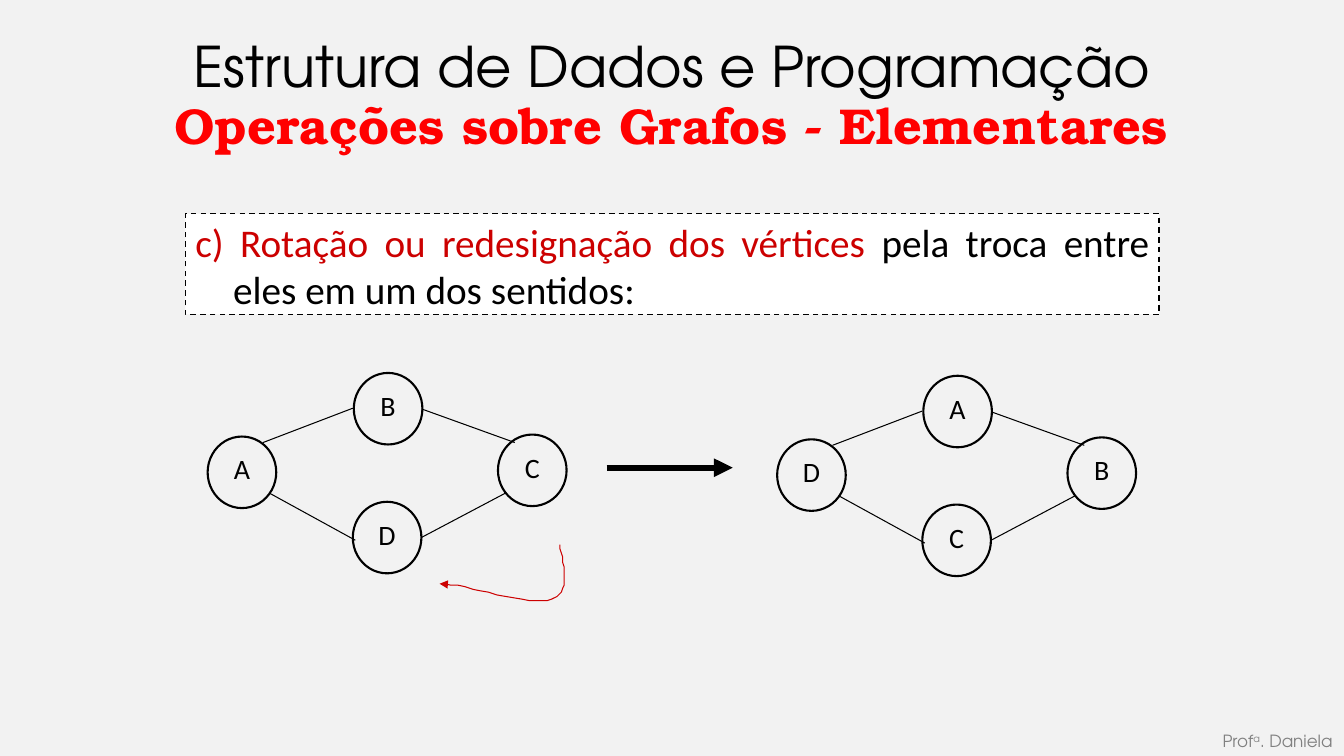
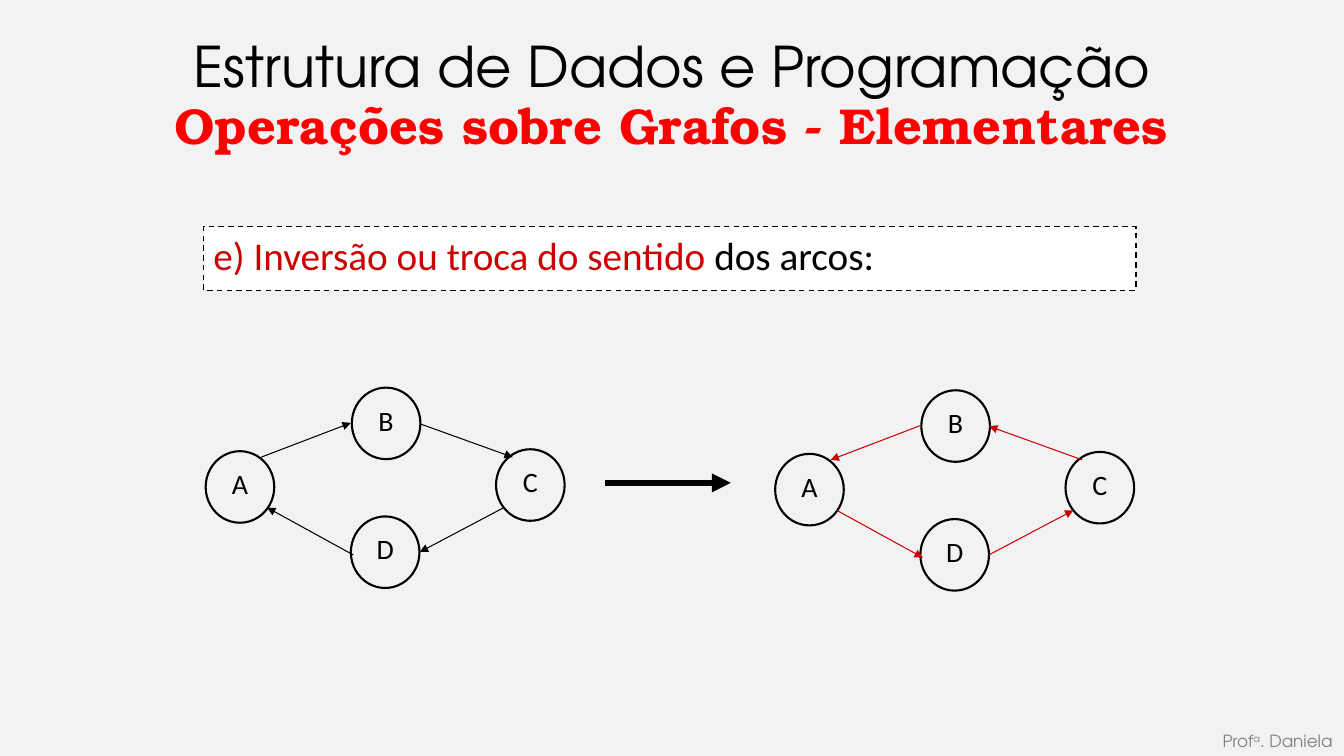
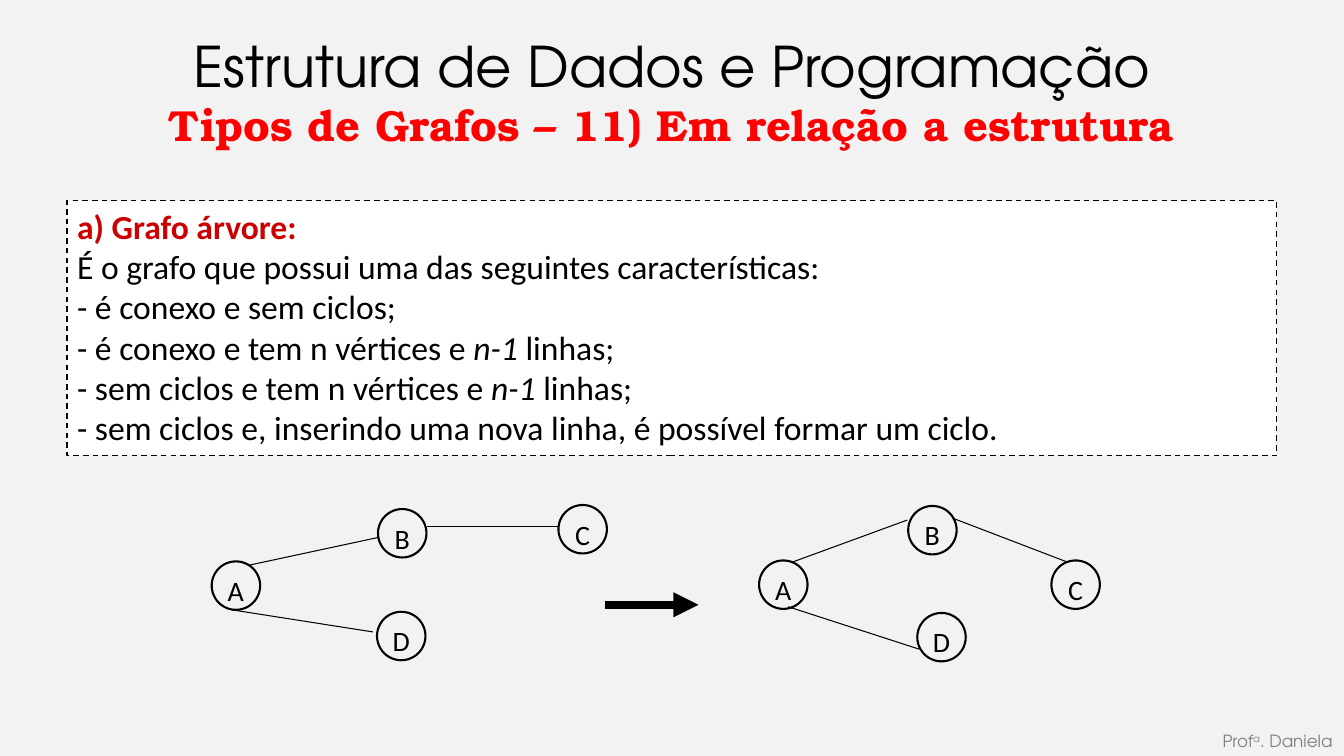
import pptx
import pptx.dml.color
import pptx.enum.dml
import pptx.enum.shapes
import pptx.enum.text
import pptx.oxml
import pptx.oxml.ns
import pptx.util

Pt = pptx.util.Pt
ALIGN = pptx.enum.text.PP_ALIGN
ANCHOR = pptx.enum.text.MSO_ANCHOR
SHAPE = pptx.enum.shapes.MSO_SHAPE

# Shared style
BLACK, WHITE, RED, TITLE_RED = "000000", "FFFFFF", "CC0000", "FF0000"
GREY, BACKGROUND = "808080", "F2F2F2"
BODY, HEADING, SUBHEADING = "Calibri", "TeX Gyre Adventor", "TeX Gyre Bonum"

# Four-vertex cycle, measured from its top-left corner
VERTEX_SIZE = (49, 51.1)
VERTICES = [(0, 45.4), (104.4, 0), (207.4, 44), (103.7, 92)]
CYCLE = [
    (39.6, 49.7, 103.7, 25.2),
    (152.8, 25.7, 219.4, 49.7),
    (213, 85.7, 153, 117.4),
    (105.5, 119.5, 43.9, 85.7),
]


def rgb(value):
    return pptx.dml.color.RGBColor.from_string(value)


def xml(tag, **attrs):
    el = pptx.oxml.parse_xml(f"<a:{tag} {pptx.oxml.ns.nsdecls('a')}/>")
    for name, value in attrs.items():
        el.set(name, value)
    return el


def bezier(p0, p1, p2, p3, steps=16):
    """Points after p0 along a cubic curve."""
    for i in range(1, steps + 1):
        t = i / steps
        u = 1 - t
        yield tuple(u**3 * a + 3 * u * u * t * b + 3 * u * t * t * c + t**3 * d
                    for a, b, c, d in zip(p0, p1, p2, p3))


class Deck:
    def __init__(self):
        self.prs = pptx.Presentation()
        self.prs.slide_width, self.prs.slide_height = Pt(960), Pt(540)
        self.s = None

    def slide(self, subtitle, size):
        self.s = self.prs.slides.add_slide(self.prs.slide_layouts[6])
        fill = self.s.background.fill
        fill.solid()
        fill.fore_color.rgb = rgb(BACKGROUND)
        self.label(48, 1.4, 864, 90, [[("Estrutura de Dados e Programação", {})]],
                   ALIGN.CENTER, ANCHOR.MIDDLE, name=HEADING, size=40)
        self.label(18, 66.2, 923, 45.4, [[(subtitle, {})]], ALIGN.CENTER,
                   ANCHOR.MIDDLE, name=SUBHEADING, size=size, color=TITLE_RED, bold=True)
        self.label(702, 518.4, 257, 21.6,
                   [[("Prof", {}), ("a", {"baseline": 30}), (". Daniela", {})]],
                   ALIGN.RIGHT, name=HEADING, size=12, color=GREY)

    def text(self, sp, paragraphs, align, anchor=ANCHOR.TOP, wrap=True, hang=0, **base):
        """Each paragraph is a list of (text, format) runs."""
        tf = sp.text_frame
        tf.word_wrap, tf.vertical_anchor = wrap, anchor
        for i, runs in enumerate(paragraphs):
            p = tf.paragraphs[0] if i == 0 else tf.add_paragraph()
            p.alignment = align
            if hang:
                pPr = p._p.get_or_add_pPr()
                pPr.set("marL", str(Pt(hang)))
                pPr.set("indent", str(-Pt(hang)))
            for content, extra in runs:
                r = p.add_run()
                r.text = content
                for key, value in {"color": BLACK, **base, **extra}.items():
                    if key == "color":
                        r.font.color.rgb = rgb(value)
                    elif key == "size":
                        r.font.size = Pt(value)
                    elif key == "baseline":
                        r._r.get_or_add_rPr().set("baseline", str(value * 1000))
                    else:
                        setattr(r.font, key, value)

    def label(self, x, y, w, h, paragraphs, align, anchor=ANCHOR.TOP, **base):
        sp = self.s.shapes.add_textbox(Pt(x), Pt(y), Pt(w), Pt(h))
        self.text(sp, paragraphs, align, anchor, **base)

    def stroke(self, line, color, width, arrow=False):
        line.color.rgb = rgb(color)
        line.width = Pt(width)
        if arrow:
            line._get_or_add_ln().append(xml("tailEnd", type="triangle"))

    def shape(self, kind, x, y, w, h, width, fill=None):
        sp = self.s.shapes.add_shape(kind, Pt(x), Pt(y), Pt(w), Pt(h))
        sp.shadow.inherit = False
        if fill:
            sp.fill.solid()
            sp.fill.fore_color.rgb = rgb(fill)
        else:
            sp.fill.background()
        self.stroke(sp.line, BLACK, width)
        return sp

    def box(self, x, y, w, h, paragraphs, size, align=ALIGN.LEFT, hang=0):
        sp = self.shape(SHAPE.RECTANGLE, x, y, w, h, 1, WHITE)
        sp.line.dash_style = pptx.enum.dml.MSO_LINE.DASH
        self.text(sp, paragraphs, align, hang=hang, name=BODY, size=size)

    def vertex(self, name, x, y, w, h):
        sp = self.shape(SHAPE.OVAL, x, y, w, h, 1.5)
        self.text(sp, [[(name, {})]], ALIGN.CENTER, wrap=False, name=BODY, size=20)

    def line(self, x1, y1, x2, y2, color=BLACK, width=0.75, arrow=False):
        c = self.s.shapes.add_connector(pptx.enum.shapes.MSO_CONNECTOR.STRAIGHT,
                                        Pt(x1), Pt(y1), Pt(x2), Pt(y2))
        self.stroke(c.line, color, width, arrow)
        c._element.spPr.append(xml("effectLst"))

    def curve(self, start, *segments):
        points, last = [], start
        for segment in segments:
            points += bezier(last, *segment)
            last = segment[-1]
        fb = self.s.shapes.build_freeform(*start, scale=Pt(1))
        fb.add_line_segments(points, close=False)
        sp = fb.convert_to_shape()
        sp.shadow.inherit = False
        sp.fill.background()
        self.stroke(sp.line, RED, 0.75, arrow=True)

    def cycle(self, x, y, names, color=BLACK, arrow=False, reverse=False):
        for name, (dx, dy) in zip(names, VERTICES):
            self.vertex(name, x + dx, y + dy, *VERTEX_SIZE)
        for x1, y1, x2, y2 in CYCLE:
            if reverse:
                x1, y1, x2, y2 = x2, y2, x1, y1
            self.line(x + x1, y + y1, x + x2, y + y2, color, arrow=arrow)

    def tree(self, vertices, edges):
        for name, (x, y) in vertices.items():
            self.vertex(name, x, y, 34.6, 34.6)
        for edge in edges:
            self.line(*edge)


def main():
    deck = Deck()
    red = {"color": RED}

    # Vertex rotation
    deck.slide("Operações sobre Grafos - Elementares", 36)
    deck.box(132.5, 152.6, 695.5, 72,
             [[("c) Rotação ou redesignação dos vértices ", red),
               ("pela troca entre eles em um dos sentidos:", {})]],
             28, ALIGN.JUSTIFY, hang=27)
    deck.cycle(148.3, 266.4, "ABCD")
    deck.line(433.4, 334.1, 523.4, 334.1, width=4.5, arrow=True)
    deck.cycle(555.1, 268.4, "DABC")
    deck.curve((399.6, 388.8),
               ((403.2, 406.1), (407.5, 423.4), (393.8, 428.4)),
               ((379.4, 433.4), (331.9, 416.9), (313.9, 416.9)))

    # Arc inversion
    deck.slide("Operações sobre Grafos - Elementares", 36)
    deck.box(145.4, 162, 666, 45.4,
             [[("e) Inversão ou troca do sentido ", red), ("dos arcos:", {})]],
             28, hang=27)
    deck.cycle(146.9, 276.9, "ABCD", arrow=True)
    deck.line(432, 344.9, 522, 344.9, width=4.5, arrow=True)
    deck.cycle(553.7, 278.8, "ABCD", RED, arrow=True, reverse=True)

    # Tree graph
    deck.slide("Tipos de Grafos – 11) Em relação a estrutura", 31)
    italic = {"italic": True}
    deck.box(48, 143.3, 864, 182.2, [
        [("a) Grafo árvore:", {"color": RED, "bold": True})],
        [("É o grafo que possui uma das seguintes características:", {})],
        [("- é conexo e sem ciclos;", {})],
        [("- é conexo e tem n vértices e ", {}), ("n-1", italic), (" linhas;", {})],
        [("- sem ciclos e tem n vértices e", {}), (" n-1 ", italic), ("linhas;", {})],
        [("- sem ciclos e, inserindo uma nova linha, é possível formar um ciclo.", {})],
    ], 24)
    deck.tree({"A": (151.2, 401), "B": (270, 363.6), "C": (398.9, 360.7), "D": (269.3, 437)},
              [(177.1, 403.9, 270.7, 383.8), (165.6, 435.6, 266.4, 451.4),
               (305.3, 375.8, 398.9, 375.8)])
    deck.line(432, 432, 499, 432, width=6, arrow=True)
    deck.tree({"A": (542.2, 400.3), "B": (648.7, 361.4), "C": (751, 400.3), "D": (655.2, 437.8)},
              [(648, 371.5, 565.2, 401.8), (680.4, 370.1, 763.2, 401.8),
               (563, 433.4, 656.6, 463.7)])

    deck.prs.save("out.pptx")


if __name__ == "__main__":
    main()
